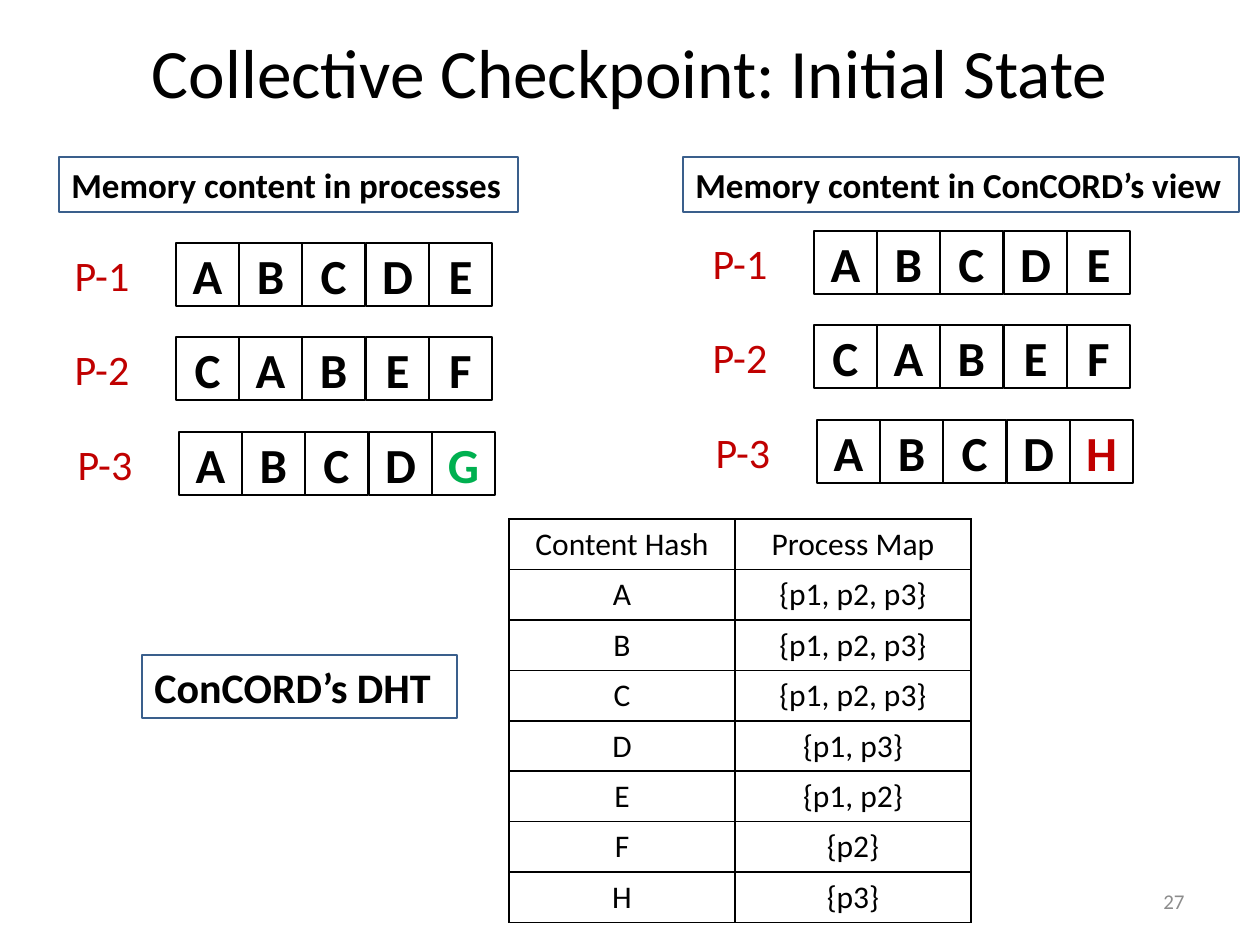
"""Builds the slide on the initial state of a collective checkpoint."""
from dataclasses import dataclass

import pptx
import pptx.dml.color
import pptx.enum.shapes
import pptx.enum.text
import pptx.oxml
import pptx.oxml.ns
import pptx.util

SHAPE = pptx.enum.shapes.MSO_SHAPE
ALIGN = pptx.enum.text.PP_ALIGN
ANCHOR = pptx.enum.text.MSO_ANCHOR


@dataclass(frozen=True)
class Theme:
    font: str = "Calibri"
    ink: str = "000000"
    caption_line: str = "3A5F8C"
    process: str = "C00000"
    fresh: str = "00B050"
    muted: str = "8C8C8C"
    title_size: float = 39.6
    block_size: int = 28
    process_size: int = 24
    table_size: int = 18
    number_size: int = 12
    line: float = 0.75
    border: int = 1


THEME = Theme()
EMU_PER_PX = 914400 / 126
SLIDE_SIZE = (1260, 945)

TITLE = ("Collective Checkpoint: Initial State", (63, 32, 1134, 78))
PAGE_NUMBER = ("27", (903, 876, 294, 50))
CAPTIONS = [
    ("Memory content in processes", (59, 157, 459, 55), 20),
    ("Memory content in ConCORD’s view", (683, 157, 556, 55), 20),
    ("ConCORD’s DHT", (142, 655, 315, 63), 24),
]
MEMORY_VIEWS = [
    ((176, 243), ["ABCDE", "CABEF", "ABCDG"], {"G": THEME.fresh}),
    ((814, 231), ["ABCDE", "CABEF", "ABCDH"], {"H": THEME.process}),
]
ROW_SHIFTS = [0, 0, 3]
BLOCK, BLOCK_SPAN, ROW_SPAN = 63, 253, 189
LABEL_OFFSET, LABEL_SIZE = (-121, 11), (94, 42)

HASH_TABLE = [
    ("Content Hash", "Process Map"),
    ("A", "{p1, p2, p3}"),
    ("B", "{p1, p2, p3}"),
    ("C", "{p1, p2, p3}"),
    ("D", "{p1, p3}"),
    ("E", "{p1, p2}"),
    ("F", "{p2}"),
    ("H", "{p3}"),
]
TABLE_ORIGIN = (509, 519)
TABLE_COLUMNS = (226, 236)
TABLE_ROW = 50


def px(value):
    return pptx.util.Emu(round(value * EMU_PER_PX))


def write(frame, text, size, color, align, bold=False):
    paragraph = frame.paragraphs[0]
    paragraph.alignment = align
    run = paragraph.add_run()
    run.text = text
    run.font.name = THEME.font
    run.font.size = pptx.util.Pt(size)
    run.font.bold = bold
    run.font.color.rgb = pptx.dml.color.RGBColor.from_string(color)


def add_text(slide, text, box, size, color, align):
    frame = slide.shapes.add_textbox(*map(px, box)).text_frame
    frame.word_wrap = True
    frame.vertical_anchor = ANCHOR.MIDDLE
    write(frame, text, size, color, align)


def add_box(slide, text, box, size, color, line=None, kind=SHAPE.RECTANGLE,
            align=ALIGN.CENTER, anchor=ANCHOR.MIDDLE, bold=True):
    shape = slide.shapes.add_shape(kind, *map(px, box))
    shape.shadow.inherit = False
    shape.fill.background()
    if line:
        shape.line.color.rgb = pptx.dml.color.RGBColor.from_string(line)
        shape.line.width = pptx.util.Pt(THEME.line)
    else:
        shape.line.fill.background()
    shape.text_frame.word_wrap = True
    shape.text_frame.vertical_anchor = anchor
    write(shape.text_frame, text, size, color, align, bold)


def add_memory_view(slide, origin, processes, highlights):
    for row, blocks in enumerate(processes):
        left = origin[0] + ROW_SHIFTS[row]
        top = origin[1] + round(row * ROW_SPAN / (len(processes) - 1))
        for column, block in enumerate(blocks):
            block_left = left + round(column * BLOCK_SPAN / (len(blocks) - 1))
            add_box(slide, block, (block_left, top, BLOCK, BLOCK), THEME.block_size,
                    highlights.get(block, THEME.ink), THEME.ink)
        label_box = (left + LABEL_OFFSET[0], top + LABEL_OFFSET[1], *LABEL_SIZE)
        add_box(slide, f"P-{row + 1}", label_box, THEME.process_size, THEME.process,
                kind=SHAPE.ROUNDED_RECTANGLE, bold=False)


def add_borders(cell):
    properties = cell._tc.get_or_add_tcPr()
    width = pptx.util.Pt(THEME.border)
    for index, side in enumerate(("lnL", "lnR", "lnT", "lnB")):
        properties.insert(index, pptx.oxml.parse_xml(
            f'<a:{side} {pptx.oxml.ns.nsdecls("a")} w="{width}"><a:solidFill>'
            f'<a:srgbClr val="{THEME.ink}"/></a:solidFill></a:{side}>'))


def add_hash_table(slide):
    size = (sum(TABLE_COLUMNS), TABLE_ROW * len(HASH_TABLE))
    table = slide.shapes.add_table(len(HASH_TABLE), len(TABLE_COLUMNS),
                                   *map(px, TABLE_ORIGIN + size)).table
    table.first_row = False
    table.horz_banding = False
    for column, width in zip(table.columns, TABLE_COLUMNS):
        column.width = px(width)
    for row, entries in enumerate(HASH_TABLE):
        for column, entry in enumerate(entries):
            cell = table.cell(row, column)
            cell.fill.background()
            write(cell.text_frame, entry, THEME.table_size, THEME.ink, ALIGN.CENTER)
            add_borders(cell)


def main():
    deck = pptx.Presentation()
    deck.slide_width, deck.slide_height = map(px, SLIDE_SIZE)
    slide = deck.slides.add_slide(deck.slide_layouts[6])
    add_text(slide, *TITLE, THEME.title_size, THEME.ink, ALIGN.CENTER)
    add_text(slide, *PAGE_NUMBER, THEME.number_size, THEME.muted, ALIGN.RIGHT)
    for view in MEMORY_VIEWS:
        add_memory_view(slide, *view)
    for caption, box, size in CAPTIONS:
        add_box(slide, caption, box, size, THEME.ink, THEME.caption_line,
                align=ALIGN.LEFT, anchor=ANCHOR.TOP)
    add_hash_table(slide)
    deck.save("out.pptx")


if __name__ == "__main__":
    main()
